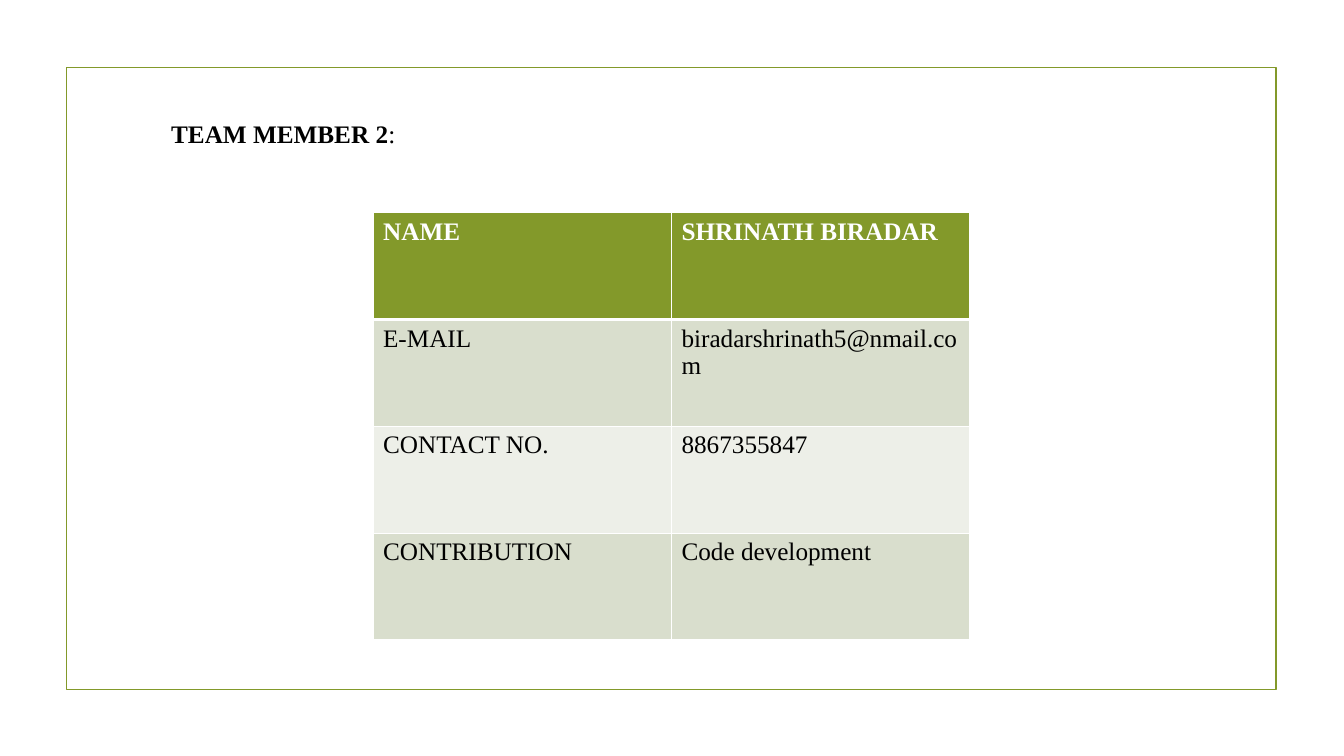
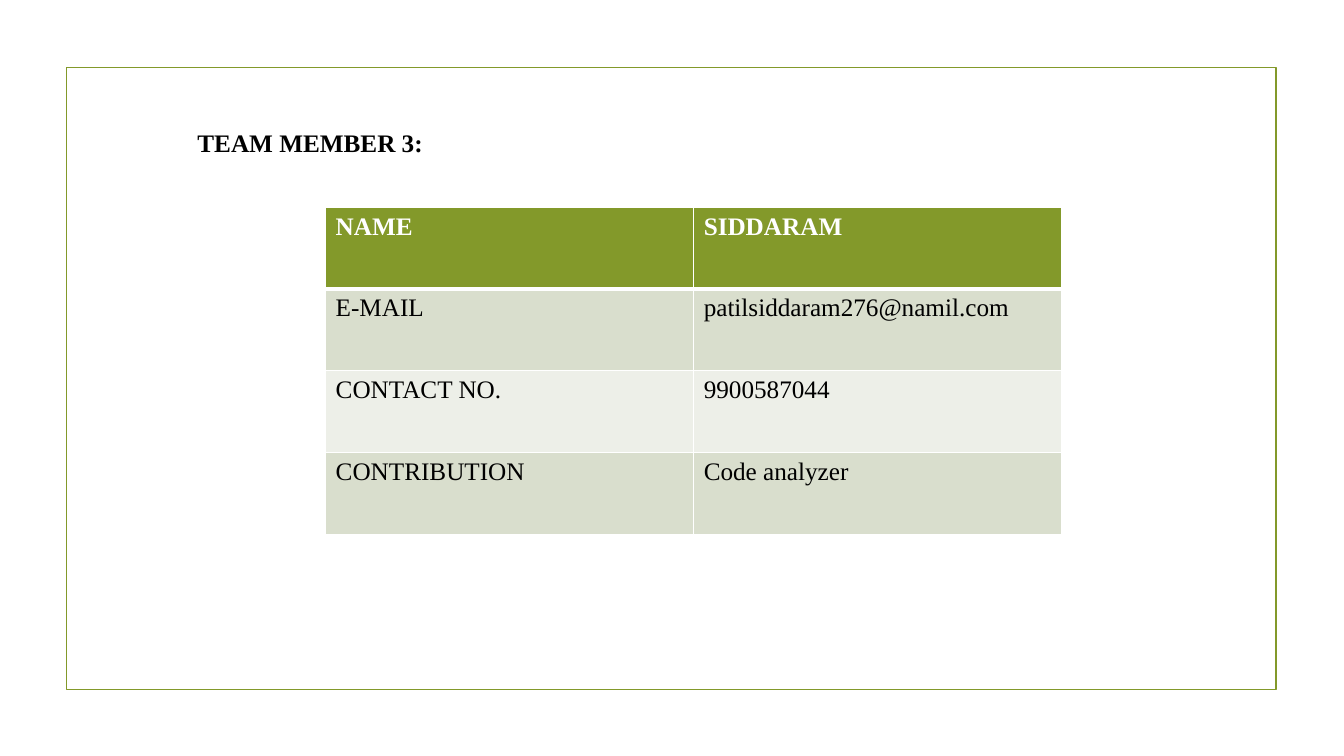
import dataclasses

import pptx
import pptx.dml.color
import pptx.enum.shapes
import pptx.enum.text
import pptx.oxml.ns
import pptx.util
from lxml import etree
from pptx.util import Inches


@dataclasses.dataclass(frozen=True)
class Theme:
    font: str = "Times New Roman"
    text_size: float = 18
    frame_width: float = 1.25
    rule_width: float = 1
    header_rule_width: float = 3
    green: str = "83992A"
    dark_band: str = "D9DECD"
    light_band: str = "EDEFE8"
    white: str = "FFFFFF"
    black: str = "000000"


@dataclasses.dataclass(frozen=True)
class Member:
    heading: tuple  # (text, bold) runs
    heading_box: tuple  # left, top, width, height in inches
    table_origin: tuple  # left, top in inches
    cell_size: tuple  # width, height in inches
    details: tuple  # one value per label


THEME = Theme()
LABELS = ("NAME", "E-MAIL", "CONTACT NO.", "CONTRIBUTION")
MEMBERS = (
    Member(
        heading=(("TEAM MEMBER 2", True), (":", False)),
        heading_box=(1.6, 1.12, 5.06, 0.4),
        table_origin=(3.7, 2.11),
        cell_size=(2.96, 1.06),
        details=("SHRINATH BIRADAR", "biradarshrinath5@nmail.com",
                 "8867355847", "Code development"),
    ),
    Member(
        heading=(("TEAM MEMBER 3:", True),),
        heading_box=(1.86, 1.21, 6.01, 0.4),
        table_origin=(3.23, 2.06),
        cell_size=(3.65, 0.81),
        details=("SIDDARAM", "patilsiddaram276@namil.com",
                 "9900587044", "Code analyzer"),
    ),
)


def rgb(value):
    return pptx.dml.color.RGBColor.from_string(value)


def add_run(paragraph, text, color, bold):
    run = paragraph.add_run()
    run.text = text
    run.font.name = THEME.font
    run.font.size = pptx.util.Pt(THEME.text_size)
    run.font.bold = bold
    run.font.color.rgb = rgb(color)


# Green outline shared by all slides
def add_frame(slide):
    frame = slide.shapes.add_shape(
        pptx.enum.shapes.MSO_SHAPE.RECTANGLE,
        Inches(0.66), Inches(0.67), Inches(12), Inches(6.17))
    frame.shadow.inherit = False
    frame.fill.background()
    frame.line.color.rgb = rgb(THEME.green)
    frame.line.width = pptx.util.Pt(THEME.frame_width)


def add_heading(slide, box, runs):
    heading = slide.shapes.add_textbox(*map(Inches, box))
    heading.text_frame.word_wrap = True
    heading.text_frame.auto_size = pptx.enum.text.MSO_AUTO_SIZE.SHAPE_TO_FIT_TEXT
    for text, bold in runs:
        add_run(heading.text_frame.paragraphs[0], text, THEME.black, bold)


# White cell borders; the rule under the header row is thicker
def add_borders(cell, row):
    thick_side = {0: "lnB", 1: "lnT"}.get(row)
    properties = cell._tc.get_or_add_tcPr()
    qn = pptx.oxml.ns.qn
    for side in ("lnL", "lnR", "lnT", "lnB"):
        width = THEME.header_rule_width if side == thick_side else THEME.rule_width
        border = etree.SubElement(properties, qn(f"a:{side}"),
                                  w=str(int(pptx.util.Pt(width))))
        fill = etree.SubElement(border, qn("a:solidFill"))
        etree.SubElement(fill, qn("a:srgbClr"), val=THEME.white)


def add_detail_table(slide, origin, cell_size, details):
    left, top = origin
    width, height = cell_size
    rows = tuple(zip(LABELS, details))
    table = slide.shapes.add_table(
        len(rows), 2, Inches(left), Inches(top),
        Inches(2 * width), Inches(len(rows) * height)).table
    for column in table.columns:
        column.width = Inches(width)
    for row, texts in enumerate(rows):
        table.rows[row].height = Inches(height)
        is_header = row == 0
        band = THEME.dark_band if row % 2 else THEME.light_band
        for column, text in enumerate(texts):
            cell = table.cell(row, column)
            add_borders(cell, row)
            cell.fill.solid()
            cell.fill.fore_color.rgb = rgb(THEME.green if is_header else band)
            add_run(cell.text_frame.paragraphs[0], text,
                    THEME.white if is_header else THEME.black, is_header)


def add_member_slide(deck, member):
    slide = deck.slides.add_slide(deck.slide_layouts[6])
    add_frame(slide)
    add_detail_table(slide, member.table_origin, member.cell_size, member.details)
    add_heading(slide, member.heading_box, member.heading)


def main():
    deck = pptx.Presentation()
    deck.slide_width = Inches(13.33)
    deck.slide_height = Inches(7.5)
    for member in MEMBERS:
        add_member_slide(deck, member)
    deck.save("out.pptx")


if __name__ == "__main__":
    main()
